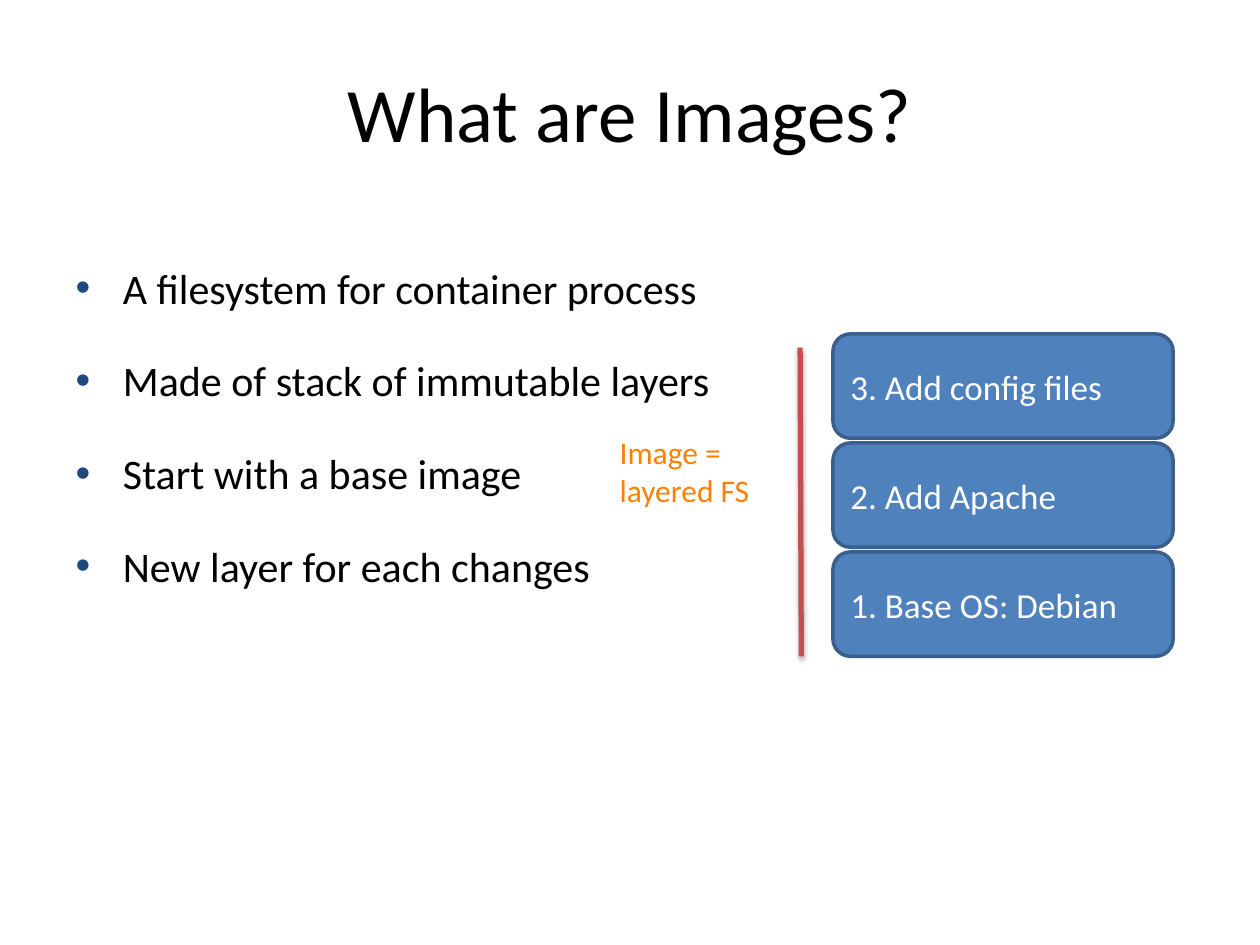
"""Build a slide that explains container images as a stack of layers."""
from dataclasses import dataclass

from lxml import etree
from pptx import Presentation
from pptx.dml.color import RGBColor
from pptx.enum.shapes import MSO_CONNECTOR, MSO_SHAPE
from pptx.enum.text import MSO_ANCHOR, MSO_AUTO_SIZE, PP_ALIGN
from pptx.oxml import parse_xml
from pptx.oxml.ns import nsdecls, qn
from pptx.shapes.autoshape import Shape
from pptx.slide import Slide
from pptx.util import Pt

ROUNDED = MSO_SHAPE.ROUNDED_RECTANGLE
STRAIGHT = MSO_CONNECTOR.STRAIGHT
MIDDLE = MSO_ANCHOR.MIDDLE
NO_FIT = MSO_AUTO_SIZE.NONE
GROW = MSO_AUTO_SIZE.SHAPE_TO_FIT_TEXT
LEFT = PP_ALIGN.LEFT
CENTER = PP_ALIGN.CENTER

FONT = "Calibri"
BLACK = RGBColor(0x00, 0x00, 0x00)
WHITE = RGBColor(0xFF, 0xFF, 0xFF)
NAVY = RGBColor(0x1F, 0x49, 0x7D)
BLUE = RGBColor(0x4F, 0x81, 0xBD)
EDGE_BLUE = RGBColor(0x3A, 0x5F, 0x8C)
RED = RGBColor(0xC0, 0x50, 0x4D)
ORANGE = RGBColor(0xFF, 0x80, 0x00)

POINTS = (
    "A filesystem for container process",
    "Made of stack of immutable layers",
    "Start with a base image",
    "New layer for each changes",
)
INDENT = 27
POINT_GAP = 4

LAYER_LEFT, LAYER_WIDTH, LAYER_HEIGHT = 476, 194.4, 59.6
STACK_TOP, LAYER_PITCH = 190.8, 62.3


@dataclass(frozen=True)
class Layer:
    label: str
    position: int


LAYERS = (
    Layer("1. Base OS: Debian", 2),
    Layer("2. Add Apache", 1),
    Layer("3. Add config files", 0),
)


def place(shape: Shape, left: float, top: float, width: float, height: float) -> None:
    shape.left, shape.top = Pt(left), Pt(top)
    shape.width, shape.height = Pt(width), Pt(height)


def write(paragraph, words: str, size: float, color: RGBColor) -> None:
    run = paragraph.add_run()
    run.text = words
    run.font.name = FONT
    run.font.size = Pt(size)
    run.font.color.rgb = color


def add_bullet(paragraph) -> None:
    properties = paragraph._p.get_or_add_pPr()
    properties.set("marL", str(Pt(INDENT)))
    properties.set("indent", str(-Pt(INDENT)))
    color = etree.SubElement(properties, qn("a:buClr"))
    etree.SubElement(color, qn("a:srgbClr"), val=str(NAVY))
    etree.SubElement(properties, qn("a:buFont"), typeface="Arial")
    etree.SubElement(properties, qn("a:buChar"), char="•")


def fill_title(slide: Slide) -> None:
    title = slide.shapes.title
    place(title, 36, 21.6, 648, 90)
    title.text_frame.auto_size = NO_FIT
    title.text_frame.vertical_anchor = MIDDLE
    heading = title.text_frame.paragraphs[0]
    heading.alignment = CENTER
    heading.line_spacing = 0.94
    write(heading, "What are Images?", 44, BLACK)


def fill_body(slide: Slide) -> None:
    body = slide.placeholders[1]
    place(body, 36, 126, 648, 356.4)
    frame = body.text_frame
    frame.auto_size = NO_FIT
    for index, words in enumerate(POINTS):
        point = frame.add_paragraph() if index else frame.paragraphs[0]
        point.level = 1
        add_bullet(point)
        point.line_spacing = 1.7
        point.space_before = Pt(POINT_GAP if index else 0)
        write(point, words, 24, BLACK)


def draw_layer(slide: Slide, layer: Layer) -> None:
    top = STACK_TOP + layer.position * LAYER_PITCH
    block = slide.shapes.add_shape(
        ROUNDED, Pt(LAYER_LEFT), Pt(top), Pt(LAYER_WIDTH), Pt(LAYER_HEIGHT)
    )
    block.shadow.inherit = False
    block.fill.solid()
    block.fill.fore_color.rgb = BLUE
    block.line.color.rgb = EDGE_BLUE
    block.line.width = Pt(2)
    block.text_frame.word_wrap = True
    block.text_frame.vertical_anchor = MIDDLE
    label = block.text_frame.paragraphs[0]
    label.alignment = LEFT
    write(label, layer.label, 20, WHITE)


def draw_stack_line(slide: Slide) -> None:
    stack_line = slide.shapes.add_connector(
        STRAIGHT, Pt(457.2), Pt(198.7), Pt(457.9), Pt(375.1)
    )
    stack_line.line.color.rgb = RED
    stack_line.line.width = Pt(3)
    shadow = parse_xml(
        f'<a:effectLst {nsdecls("a")}>'
        f'<a:outerShdw blurRad="{Pt(3.1)}" dist="{Pt(1.8)}" dir="5400000" rotWithShape="0">'
        '<a:srgbClr val="000000"><a:alpha val="35000"/></a:srgbClr>'
        "</a:outerShdw></a:effectLst>"
    )
    stack_line._element.spPr.append(shadow)


def add_caption(slide: Slide) -> None:
    caption = slide.shapes.add_textbox(Pt(347), Pt(244.1), Pt(107.3), Pt(51.1))
    caption.text_frame.word_wrap = True
    caption.text_frame.auto_size = GROW
    write(caption.text_frame.paragraphs[0], "Image = layered FS", 18, ORANGE)


def main() -> None:
    deck = Presentation()
    deck.slide_width, deck.slide_height = Pt(720), Pt(540)
    slide = deck.slides.add_slide(deck.slide_layouts[1])
    fill_title(slide)
    fill_body(slide)
    for layer in LAYERS:
        draw_layer(slide, layer)
    draw_stack_line(slide)
    add_caption(slide)
    deck.save("out.pptx")


if __name__ == "__main__":
    main()
